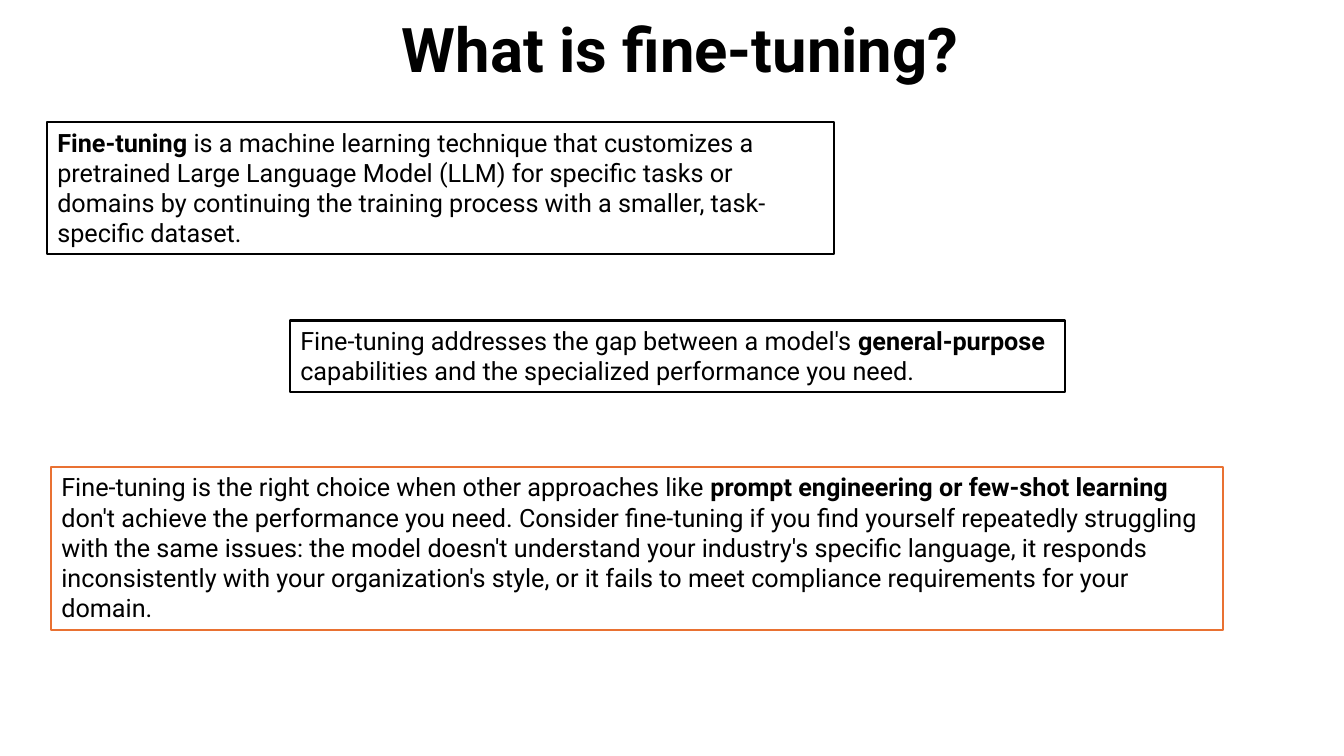
from pptx import Presentation
from pptx.dml.color import RGBColor
from pptx.enum.shapes import MSO_SHAPE
from pptx.enum.text import MSO_ANCHOR, MSO_AUTO_SIZE, PP_ALIGN
from pptx.util import Inches, Pt

BLACK = RGBColor(0x00, 0x00, 0x00)
WHITE = RGBColor(0xFF, 0xFF, 0xFF)
ORANGE = RGBColor(0xE9, 0x71, 0x32)
FONT = "Roboto"

# Content: boxes as (left, top, width, height), line colour, (text, bold) runs
TITLE = "What is fine-tuning?"
BOXES = [
    ((0.47, 1.21, 7.8, 1.31), BLACK, [
        ("Fine-tuning", True),
        (" is a machine learning technique that customizes a pretrained Large "
         "Language Model (LLM) for specific tasks or domains by continuing the "
         "training process with a smaller, task-specific dataset.", False),
    ]),
    ((2.88, 3.18, 7.68, 0.71), BLACK, [
        ("Fine-tuning addresses the gap between a model's ", False),
        ("general-purpose ", True),
        ("capabilities and the specialized performance you need.", False),
    ]),
    ((0.51, 4.63, 11.62, 1.62), ORANGE, [
        ("Fine-tuning is the right choice when other approaches like ", False),
        ("prompt engineering or few-shot learning ", True),
        ("don't achieve the performance you need. Consider fine-tuning if you "
         "find yourself repeatedly struggling with the same issues: the model "
         "doesn't understand your industry's specific language, it responds "
         "inconsistently with your organization's style, or it fails to meet "
         "compliance requirements for your domain.", False),
    ]),
]


def add_run(p, text, size, bold):
    r = p.add_run()
    r.text = text
    r.font.name = FONT
    r.font.size = Pt(size)
    r.font.bold = bold
    r.font.color.rgb = BLACK


prs = Presentation()
prs.slide_width, prs.slide_height = Inches(13.33), Inches(7.5)
s = prs.slides.add_slide(prs.slide_layouts[6])

# Title
tf = s.shapes.add_textbox(Inches(1), Inches(-0.2), Inches(11.5), Inches(1.45)).text_frame
tf.word_wrap = True
tf.vertical_anchor = MSO_ANCHOR.MIDDLE
p = tf.paragraphs[0]
p.alignment = PP_ALIGN.CENTER
p.line_spacing = 0.9
add_run(p, TITLE, 44, True)

# Framed statements
for place, line_color, runs in BOXES:
    sp = s.shapes.add_shape(MSO_SHAPE.RECTANGLE, *map(Inches, place))
    sp.shadow.inherit = False
    sp.fill.solid()
    sp.fill.fore_color.rgb = WHITE
    sp.line.color.rgb = line_color
    sp.line.width = Pt(1.5)
    tf = sp.text_frame
    tf.word_wrap = True
    tf.auto_size = MSO_AUTO_SIZE.SHAPE_TO_FIT_TEXT
    tf.vertical_anchor = MSO_ANCHOR.TOP
    p = tf.paragraphs[0]
    p.alignment = PP_ALIGN.LEFT
    for text, bold in runs:
        add_run(p, text, 18, bold)

prs.save("out.pptx")
